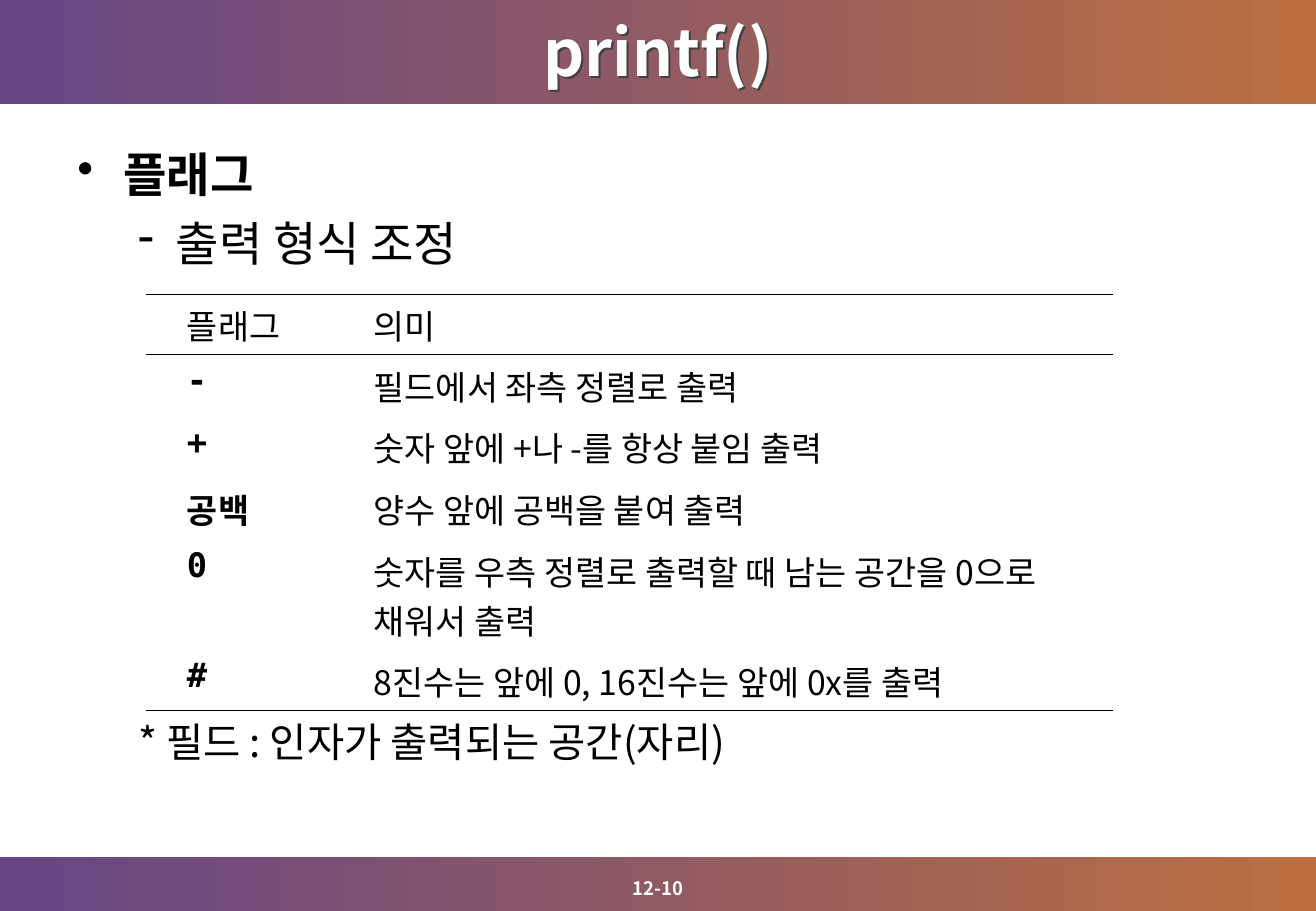
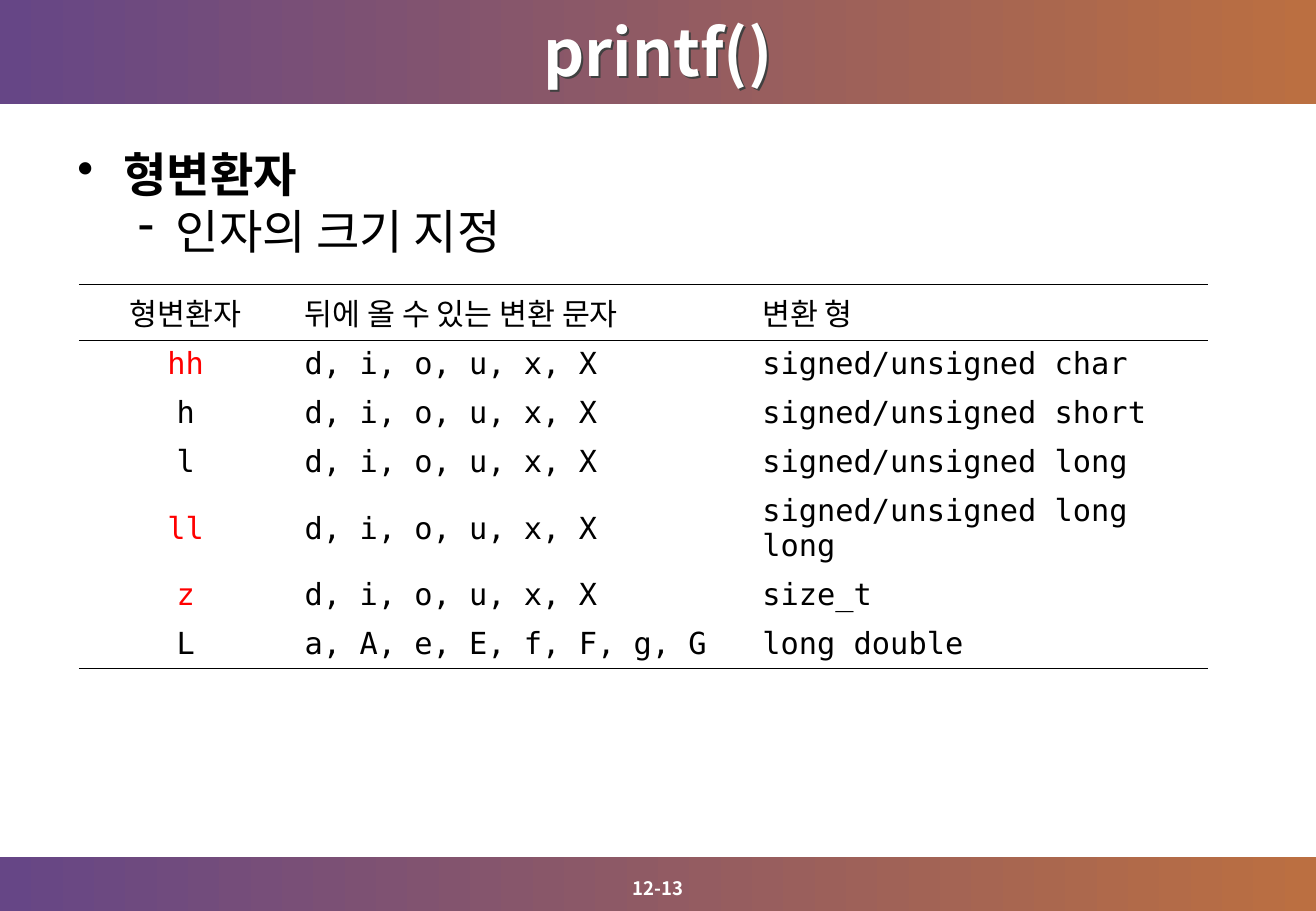
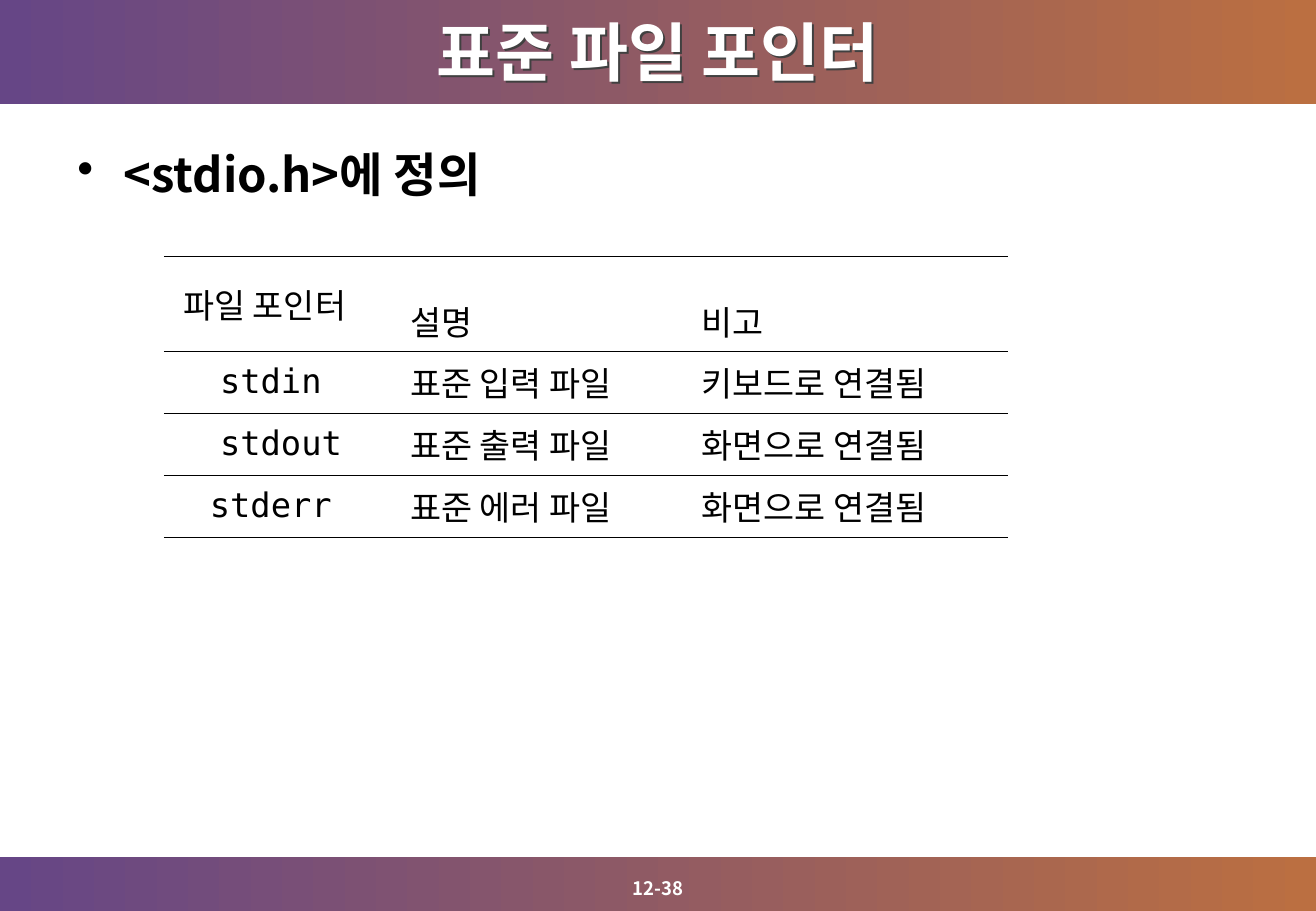
from dataclasses import dataclass
from typing import Optional

from lxml import etree
from pptx import Presentation
from pptx import util as u
from pptx.dml import color
from pptx.enum import shapes, text
from pptx.oxml import ns

SANS, MONO = "Noto Sans CJK KR", "DejaVu Sans Mono"
BLACK, WHITE, RED = "000000", "FFFFFF", "FF0000"
TITLE_SHADOW = "404040"
BAND_START, BAND_END = "664686", "BB6F41"
WIDTH, HEIGHT = 10.84, 7.5
HEADER_RULE, BODY_RULE = 0.5, 0.11
LEFT, CENTER = text.PP_ALIGN.LEFT, text.PP_ALIGN.CENTER
TOP, MIDDLE, BOTTOM = (text.MSO_ANCHOR.TOP, text.MSO_ANCHOR.MIDDLE,
                       text.MSO_ANCHOR.BOTTOM)


@dataclass
class Column:
    width: float
    indent: float
    font: str = SANS
    bold: bool = False
    align: text.PP_ALIGN = LEFT
    header_align: text.PP_ALIGN = LEFT
    header_spacing: Optional[float] = None


def rgb(value):
    return color.RGBColor.from_string(value)


def child(parent, tag, **attributes):
    return etree.SubElement(parent, ns.qn(tag), attributes)


def format_runs(paragraph, size, ink=BLACK, font=SANS, bold=False):
    for run in paragraph.runs:
        run.font.size = u.Pt(size)
        run.font.bold = bold
        run.font.color.rgb = rgb(ink)
        run.font.name = font
        latin = run.font._element.find(ns.qn("a:latin"))
        east_asian = etree.Element(ns.qn("a:ea"), typeface=SANS)
        latin.addnext(east_asian)


def set_indent(paragraph, left, first=0):
    properties = paragraph._p.get_or_add_pPr()
    properties.set("marL", str(u.Inches(left)))
    properties.set("indent", str(u.Inches(first)))
    return properties


def add_bullet(paragraph, left, first, mark):
    properties = set_indent(paragraph, left, first)
    child(child(properties, "a:buClr"), "a:srgbClr", val=BLACK)
    child(properties, "a:buChar", char=mark)


def add_text_box(slide, left, top, width, height, anchor=TOP):
    box = slide.shapes.add_textbox(*map(u.Inches, (left, top, width, height)))
    box.text_frame.word_wrap = True
    box.text_frame.vertical_anchor = anchor
    return box


def add_line(slide, area, words, size, anchor, ink=BLACK, bold=False, align=LEFT):
    """Add a text box that holds one paragraph."""
    box = add_text_box(slide, *area, anchor=anchor)
    box.text_frame.text = words
    paragraph = box.text_frame.paragraphs[0]
    paragraph.alignment = align
    format_runs(paragraph, size, ink, bold=bold)
    return box


def add_band(slide, top, height):
    band = slide.shapes.add_shape(
        shapes.MSO_SHAPE.RECTANGLE, 0, u.Inches(top), u.Inches(WIDTH), u.Inches(height))
    band.shadow.inherit = False
    band.line.fill.background()
    band.fill.gradient()
    band.fill.gradient_angle = 0
    for stop, shade in zip(band.fill.gradient_stops, (BAND_START, BAND_END)):
        stop.color.rgb = rgb(shade)


def add_text_shadow(box):
    """Shadow an unfilled box, which falls on its letters."""
    effects = child(box._element.spPr, "a:effectLst")
    shadow = child(effects, "a:outerShdw", blurRad="0", dist=str(u.Pt(1.7)),
                   dir="2700000", algn="ctr", rotWithShape="0")
    child(shadow, "a:srgbClr", val=TITLE_SHADOW)


def add_page(deck, title, number):
    slide = deck.slides.add_slide(deck.slide_layouts[6])
    add_band(slide, 7.06, 0.44)
    add_band(slide, 0, 0.86)
    heading = add_line(slide, (0, 0, WIDTH, 0.84), title, 38, MIDDLE, WHITE, True, CENTER)
    add_text_shadow(heading)
    add_line(slide, (0.46, 6.95, 9.92, 0.5), number, 11, BOTTOM, WHITE, True, CENTER)
    return slide


def add_outline(slide, topic, detail=None, gap=0):
    """Add the bold topic and, below it, its dashed detail."""
    frame = add_text_box(slide, 0.54, 1.15, 9.84, 5.51).text_frame
    frame.text = topic
    first = frame.paragraphs[0]
    add_bullet(first, 0.38, -0.38, "•")
    format_runs(first, 28, bold=True)
    if detail:
        second = frame.add_paragraph()
        second.text = detail
        second.level = 1
        add_bullet(second, 0.81, -0.31, "-")
        second.space_before = u.Pt(gap)
        format_runs(second, 28)


def set_borders(cell, top, bottom):
    """Rule a cell above and below; a width of None draws no line."""
    properties = cell._tc.get_or_add_tcPr()
    sides = (("a:lnL", None), ("a:lnR", None), ("a:lnT", top), ("a:lnB", bottom))
    for position, (tag, width) in enumerate(sides):
        line = etree.Element(ns.qn(tag))
        if width is None:
            child(line, "a:noFill")
        else:
            line.set("w", str(u.Pt(width)))
            child(child(line, "a:solidFill"), "a:srgbClr", val=BLACK)
        properties.insert(position, line)


def add_ruled_table(slide, left, top, columns, heights, rows, size,
                    anchor=MIDDLE, rule_all=False, red_keys=()):
    width = sum(column.width for column in columns)
    frame = slide.shapes.add_table(
        len(rows), len(columns),
        *map(u.Inches, (left, top, width, sum(heights))))
    table = frame.table
    table.horz_banding = table.first_row = False
    for row, height in zip(table.rows, heights):
        row.height = u.Inches(height)
    for c, column in enumerate(columns):
        table.columns[c].width = u.Inches(column.width)

    last = len(rows) - 1
    below = [HEADER_RULE] + [BODY_RULE if rule_all or r == last else None
                             for r in range(1, len(rows))]
    above = [HEADER_RULE] + below[:-1]
    for r, values in enumerate(rows):
        for c, (column, value) in enumerate(zip(columns, values)):
            cell = table.cell(r, c)
            cell.fill.background()
            set_borders(cell, above[r], below[r])
            cell.text_frame.text = value
            paragraph = cell.text_frame.paragraphs[0]
            set_indent(paragraph, column.indent)
            if r == 0:
                cell.vertical_anchor = MIDDLE
                paragraph.alignment = column.header_align
                if column.header_spacing:
                    paragraph.line_spacing = column.header_spacing
                format_runs(paragraph, size)
            else:
                cell.vertical_anchor = anchor
                paragraph.alignment = column.align
                ink = RED if value in red_keys else BLACK
                format_runs(paragraph, size, ink, column.font, column.bold)


def add_flags_page(deck):
    slide = add_page(deck, "printf()", "12-10")
    add_outline(slide, "플래그", "출력 형식 조정", gap=7)
    note = add_line(slide, (1.04, 5.85, 9.34, 0.6),
                    "* 필드 : 인자가 출력되는 공간(자리)", 24, TOP)
    set_indent(note.text_frame.paragraphs[0], 0.31, -0.31)
    columns = [Column(1.53, 0.24, MONO, bold=True), Column(6.44, 0.25)]
    rows = [
        ("플래그", "의미"),
        ("-", "필드에서 좌측 정렬로 출력"),
        ("+", "숫자 앞에 +나 -를 항상 붙임 출력"),
        ("공백", "양수 앞에 공백을 붙여 출력"),
        ("0", "숫자를 우측 정렬로 출력할 때 남는 공간을 0으로 채워서 출력"),
        ("#", "8진수는 앞에 0, 16진수는 앞에 0x를 출력"),
    ]
    heights = [0.5] + [0.51] * 3 + [0.9, 0.5]
    add_ruled_table(slide, 1.2, 2.42, columns, heights, rows, 20, anchor=TOP)


def add_modifiers_page(deck):
    slide = add_page(deck, "printf()", "12-13")
    add_outline(slide, "형변환자", "인자의 크기 지정")
    columns = [Column(1.52, 0.24, MONO, align=CENTER, header_align=CENTER),
               Column(3.77, 0.24, MONO), Column(4.01, 0.24, MONO)]
    integers = "d, i, o, u, x, X"
    rows = [
        ("형변환자", "뒤에 올 수 있는 변환 문자", "변환 형"),
        ("hh", integers, "signed/unsigned char"),
        ("h", integers, "signed/unsigned short"),
        ("l", integers, "signed/unsigned long"),
        ("ll", integers, "signed/unsigned long long"),
        ("z", integers, "size_t"),
        ("L", "a, A, e, E, f, F, g, G", "long double"),
    ]
    heights = [0.46] + [0.39] * 3 + [0.69] + [0.39] * 2
    add_ruled_table(slide, 0.65, 2.34, columns, heights, rows, 18,
                    red_keys=("hh", "ll", "z"))


def add_file_pointers_page(deck):
    slide = add_page(deck, "표준 파일 포인터", "12-38")
    add_outline(slide, "<stdio.h>에 정의")
    columns = [Column(1.87, 0.06, MONO, align=CENTER),
               Column(2.4, 0.06, header_spacing=1.7),
               Column(2.68, 0.06, header_spacing=1.7)]
    rows = [
        ("파일 포인터", "설명", "비고"),
        ("stdin ", "표준 입력 파일", "키보드로 연결됨"),
        ("stdout", "표준 출력 파일", "화면으로 연결됨"),
        ("stderr ", "표준 에러 파일", "화면으로 연결됨"),
    ]
    add_ruled_table(slide, 1.35, 2.11, columns, [0.78] + [0.51] * 3, rows, 20,
                    rule_all=True)


def main():
    deck = Presentation()
    deck.slide_width, deck.slide_height = u.Inches(WIDTH), u.Inches(HEIGHT)
    add_flags_page(deck)
    add_modifiers_page(deck)
    add_file_pointers_page(deck)
    deck.save("out.pptx")


if __name__ == "__main__":
    main()
